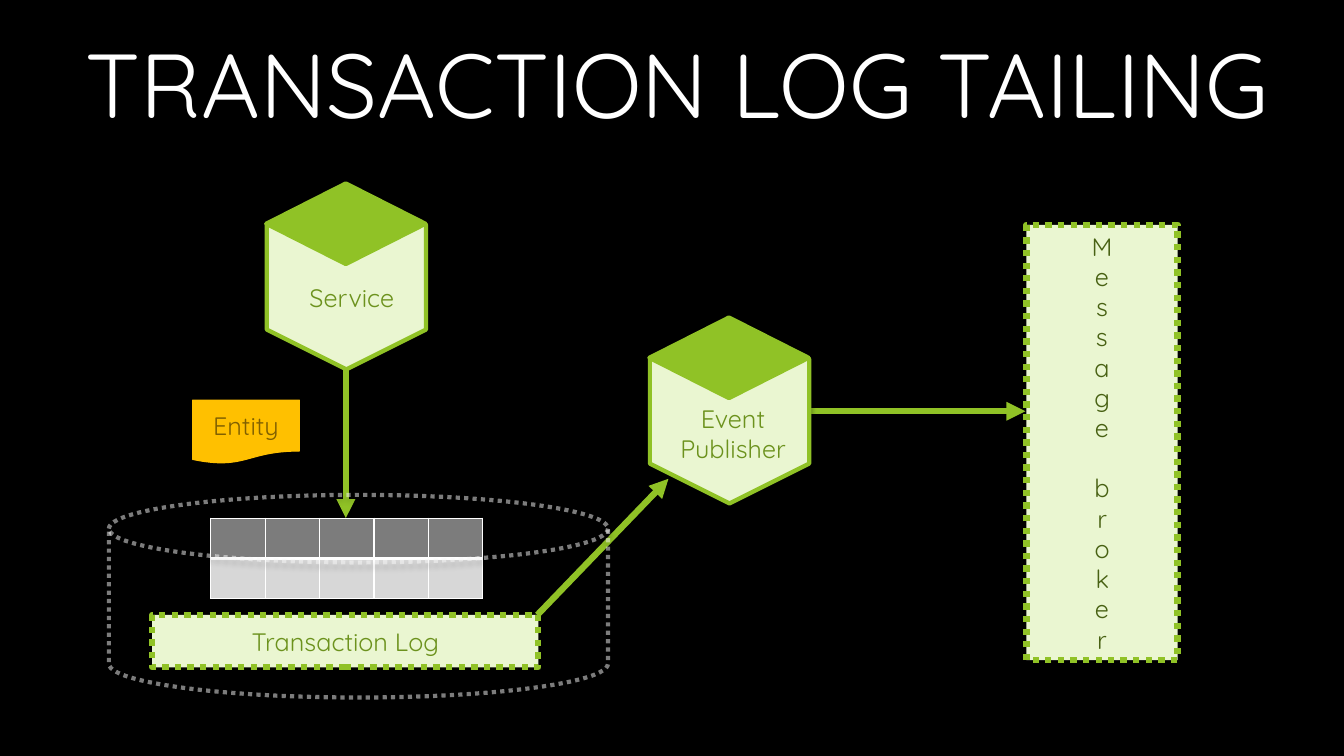
from lxml import etree
from pptx import Presentation
from pptx.dml.color import RGBColor
from pptx.enum.dml import MSO_LINE_DASH_STYLE as Dash
from pptx.enum.shapes import MSO_CONNECTOR, MSO_SHAPE as Preset
from pptx.enum.text import MSO_ANCHOR as Anchor, MSO_AUTO_SIZE as AutoSize, PP_ALIGN as Align
from pptx.oxml import parse_xml
from pptx.oxml.ns import nsdecls, qn
from pptx.util import Inches, Pt

FONT = "Quicksand"
GREEN, PALE_GREEN, TEXT_GREEN, DARK_GREEN = "90C226", "EAF6D1", "6C921D", "486113"
AMBER, BROWN, WHITE, BLACK = "FFC000", "806000", "FFFFFF", "000000"


def color(value):
    """Turn a hex string into a colour."""
    return RGBColor.from_string(value)


def write(text_frame, text, text_color, size=18, align=Align.CENTER, anchor=Anchor.MIDDLE):
    """Fill a text frame and format its paragraphs and runs."""
    text_frame.text = text
    text_frame.vertical_anchor = anchor
    for paragraph in text_frame.paragraphs:
        paragraph.alignment = align
        for run in paragraph.runs:
            run.font.name = FONT
            run.font.size = Pt(size)
            run.font.color.rgb = color(text_color)


def add_shape(slide, preset, box, fill, line, width, dash=None):
    """Add a preset shape without shadow, filled unless fill is None."""
    shape = slide.shapes.add_shape(preset, *map(Inches, box))
    shape.shadow.inherit = False
    if fill:
        shape.fill.solid()
        shape.fill.fore_color.rgb = color(fill)
    else:
        shape.fill.background()
    shape.line.color.rgb = color(line)
    shape.line.width = Pt(width)
    if dash:
        shape.line.dash_style = dash
    return shape


def add_drop_shadow(shape):
    """Give a shape a soft black shadow below it."""
    effects = shape.element.spPr.find(qn("a:effectLst"))
    effects.append(parse_xml(
        f'<a:outerShdw {nsdecls("a")} blurRad="{Pt(4)}" dist="{Pt(3)}" dir="5400000" rotWithShape="0">'
        f'<a:srgbClr val="{BLACK}"><a:alpha val="40000"/></a:srgbClr></a:outerShdw>'))


def add_arrow(slide, start, end):
    """Draw a green arrow between two points."""
    arrow = slide.shapes.add_connector(MSO_CONNECTOR.STRAIGHT, *map(Inches, start + end))
    arrow.line.color.rgb = color(GREEN)
    arrow.line.width = Pt(4.5)
    etree.SubElement(arrow.line._get_or_add_ln(), qn("a:tailEnd"), type="triangle")
    etree.SubElement(arrow.element.spPr, qn("a:effectLst"))


def add_title(slide, box, text):
    """Place and format the title placeholder."""
    title = slide.shapes.title
    title.left, title.top, title.width, title.height = map(Inches, box)
    write(title.text_frame, text, WHITE, 64.8, Align.LEFT)
    title.text_frame.auto_size = AutoSize.NONE


def add_node(slide, left, top, text, label_box, wrap, align):
    """Draw a cube-like hexagon with its label, placed from its top left corner."""
    hexagon = add_shape(slide, Preset.HEXAGON, (left - 0.12, top + 0.14, 1.83, 1.58), PALE_GREEN, GREEN, 3)
    hexagon.rotation = 90
    add_drop_shadow(hexagon)
    add_shape(slide, Preset.DIAMOND, (left, top, 1.58, 0.8), GREEN, GREEN, 3)
    x, y, width, height = label_box
    label = slide.shapes.add_textbox(*map(Inches, (left + x, top + y, width, height)))
    label.text_frame.word_wrap = wrap
    label.text_frame.auto_size = AutoSize.SHAPE_TO_FIT_TEXT
    write(label.text_frame, text, TEXT_GREEN, align=align, anchor=Anchor.TOP)


def add_dotted_box(slide, box, text, text_color):
    """Draw a pale rectangle with a dotted border and centred text."""
    shape = add_shape(slide, Preset.RECTANGLE, box, PALE_GREEN, GREEN, 4.5, Dash.ROUND_DOT)
    shape.line._get_or_add_ln().find(qn("a:prstDash")).set("val", "sysDot")
    write(shape.text_frame, text, text_color)
    return shape


def add_broker(slide, box):
    """Draw the message broker with stacked letters."""
    broker = add_dotted_box(slide, box, "Message broker", DARK_GREEN)
    broker.element.txBody.bodyPr.set("vert", "wordArtVert")


def add_records(slide, left, top):
    """Draw the empty database table with its header row."""
    columns, cell_width, row_height = 5, 0.54, 0.4
    fills = ("7C7C7C", "D7D7D7")
    frame = slide.shapes.add_table(
        len(fills), columns, *map(Inches, (left, top, columns * cell_width, len(fills) * row_height)))
    table = frame.table
    for row, fill in enumerate(fills):
        for column in range(columns):
            cell = table.cell(row, column)
            cell.fill.solid()
            cell.fill.fore_color.rgb = color(fill)
            for index, side in enumerate("LRTB"):
                width = Pt(3 if row == 0 and side == "B" else 1)
                cell._tc.get_or_add_tcPr().insert(index, parse_xml(
                    f'<a:ln{side} {nsdecls("a")} w="{width}"><a:solidFill>'
                    f'<a:srgbClr val="{WHITE}"/></a:solidFill></a:ln{side}>'))


def add_database(slide, box):
    """Draw the half-transparent dotted outline of the database."""
    disk = add_shape(slide, Preset.FLOWCHART_MAGNETIC_DISK, box, None, "F9F9F9", 3, Dash.ROUND_DOT)
    line = disk.line._get_or_add_ln()
    line.find(qn("a:prstDash")).set("val", "sysDot")
    etree.SubElement(line.find(".//" + qn("a:srgbClr")), qn("a:alpha"), val="50000")
    add_drop_shadow(disk)


def add_entity(slide, box):
    """Draw the entity document."""
    entity = add_shape(slide, Preset.FLOWCHART_DOCUMENT, box, AMBER, AMBER, 0.75)
    write(entity.text_frame, "Entity", BROWN)


def main():
    """Build the slide and save it."""
    presentation = Presentation()
    presentation.slide_width, presentation.slide_height = Inches(13.33), Inches(7.5)
    slide = presentation.slides.add_slide(presentation.slide_layouts[5])
    slide.background.fill.solid()
    slide.background.fill.fore_color.rgb = color(BLACK)

    add_title(slide, (0.75, 0.01, 12.26, 1.62), "TRANSACTION LOG TAILING")
    add_node(slide, 2.64, 1.82, "Service", (0.33, 0.93, 1.09, 0.4), False, Align.LEFT)
    add_arrow(slide, (3.43, 3.66), (3.43, 5.14))
    add_broker(slide, (10.18, 2.23, 1.5, 4.32))
    add_records(slide, 2.09, 5.14)
    add_arrow(slide, (8.02, 4.08), (10.17, 4.08))
    add_node(slide, 6.44, 3.15, "Event\nPublisher", (0.19, 0.8, 1.28, 0.71), True, Align.CENTER)
    add_arrow(slide, (5.33, 6.1), (6.63, 4.75))
    add_dotted_box(slide, (1.51, 6.1, 3.83, 0.52), "Transaction Log", TEXT_GREEN)
    add_database(slide, (1.08, 4.91, 4.95, 2.01))
    add_entity(slide, (1.91, 3.97, 1.06, 0.63))
    presentation.save("out.pptx")


if __name__ == "__main__":
    main()
